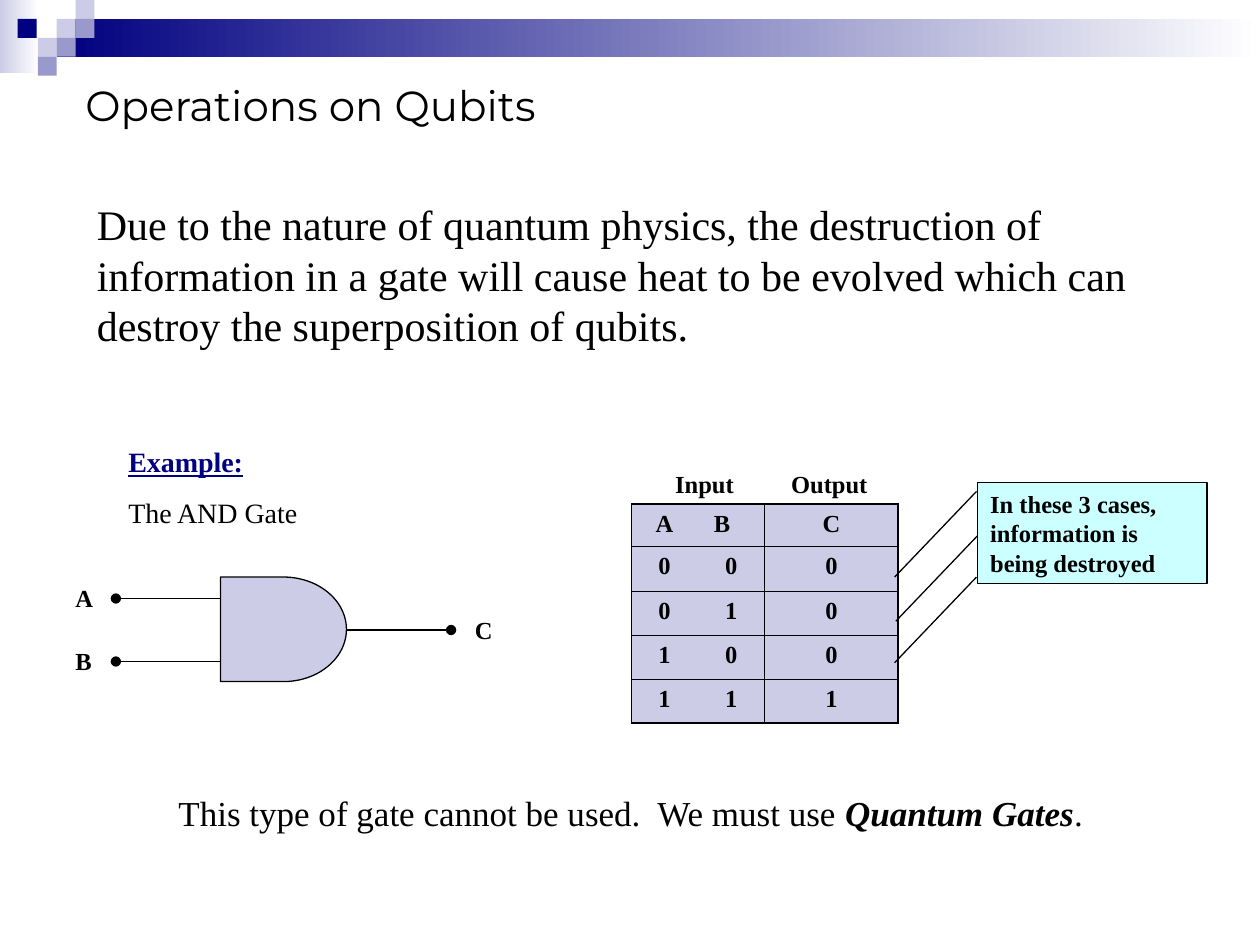
from lxml.etree import SubElement
from pptx import Presentation
from pptx.dml.color import RGBColor
from pptx.enum.shapes import MSO_CONNECTOR, MSO_SHAPE
from pptx.enum.text import MSO_ANCHOR, PP_ALIGN
from pptx.oxml.ns import qn
from pptx.util import Inches, Pt

BLACK = RGBColor(0x00, 0x00, 0x00)
WHITE = RGBColor(0xFF, 0xFF, 0xFF)
NAVY = RGBColor(0x00, 0x00, 0x80)
LILAC = RGBColor(0xCC, 0xCC, 0xE6)
MAUVE = RGBColor(0x99, 0x99, 0xCC)
CYAN = RGBColor(0xCC, 0xFF, 0xFF)

deck = Presentation()
deck.slide_width, deck.slide_height = Inches(10), Inches(7.5)
slide = deck.slides.add_slide(deck.slide_layouts[6])
shapes = slide.shapes


def write(frame, text, size=14, bold=False, italic=False, under=False,
          color=BLACK, font="Times New Roman", align=PP_ALIGN.LEFT):
    """Add a run to the last paragraph of a frame."""
    para = frame.paragraphs[-1]
    para.alignment = align
    run = para.add_run()
    run.text = text
    run.font.name, run.font.size = font, Pt(size)
    run.font.bold, run.font.italic, run.font.underline = bold, italic, under
    run.font.color.rgb = color


def add_box(left, top, width, height, kind=None, fill=None, line=None):
    """Add a text box, or a preset shape when a kind is given."""
    place = [Inches(n) for n in (left, top, width, height)]
    if kind is None:
        box = shapes.add_textbox(*place)
    else:
        box = shapes.add_shape(kind, *place)
        box.shadow.inherit = False
        if isinstance(fill, tuple) and not isinstance(fill, RGBColor):
            box.fill.gradient()
            box.fill.gradient_angle = 0
            for stop, color in zip(box.fill.gradient_stops, fill):
                stop.color.rgb = color
        else:
            box.fill.solid()
            box.fill.fore_color.rgb = fill
        if line is None:
            box.line.fill.background()
        else:
            box.line.color.rgb, box.line.width = line, Pt(0.75)
    box.text_frame.word_wrap = True
    return box.text_frame


# Banner: two fading bars and a mosaic of small squares
add_box(0, 0, 0.31, 0.58, MSO_SHAPE.RECTANGLE, (LILAC, WHITE))
add_box(0.45, 0.15, 9.55, 0.3, MSO_SHAPE.RECTANGLE, (NAVY, WHITE))
for left, top, color in [
    (0.45, 0.15, LILAC), (0.6, 0, LILAC), (0.6, 0.15, MAUVE), (0.3, 0.3, LILAC),
    (0.14, 0.15, NAVY), (0.45, 0.3, MAUVE), (0.3, 0.45, MAUVE),
]:
    add_box(left, top, 0.15, 0.15, MSO_SHAPE.RECTANGLE, color)

# Title and statement
title = add_box(0.58, 0.58, 9, 0.5)
title.vertical_anchor = MSO_ANCHOR.MIDDLE
write(title, "Operations on Qubits", size=24, font="Montserrat")
write(add_box(0.67, 1.53, 8.42, 1.3),
      "Due to the nature of quantum physics, the destruction of information in a "
      "gate will cause heat to be evolved which can destroy the superposition of "
      "qubits.", size=24)

# Example heading
intro = add_box(0.92, 3.48, 1.67, 0.77)
write(intro, "Example:", size=16, bold=True, under=True, color=NAVY)
intro.add_paragraph().space_before = Pt(10)
write(intro, "The AND Gate", size=16)

# Gate body and callout
add_box(1.75, 4.58, 1, 0.83, MSO_SHAPE.FLOWCHART_DELAY, LILAC, BLACK)
note = add_box(7.76, 3.83, 1.82, 0.8, MSO_SHAPE.RECTANGLE, CYAN, BLACK)
note.vertical_anchor = MSO_ANCHOR.TOP
write(note, "In these 3 cases, information is being destroyed", bold=True)

# Truth table
rows = ["ABC", "000", "010", "100", "111"]
table = shapes.add_table(5, 3, Inches(5.01), Inches(4), Inches(2.12), Inches(1.74)).table
table.first_row = table.horz_banding = False
for col, width in zip(table.columns, (0.53, 0.53, 1.06)):
    col.width = Inches(width)
for r, row in enumerate(rows):
    table.rows[r].height = Inches(0.34 if r == 0 else 0.35)
    for c, text in enumerate(row):
        cell = table.cell(r, c)
        # Thick top, right and bottom frame; no rule between the inputs
        edges = {
            "a:lnL": 0 if c == 1 else 0.45,
            "a:lnR": (0, 0.45, 1.08)[c],
            "a:lnT": 1.08 if r == 0 else 0.45,
            "a:lnB": 1.08 if r == 4 else 0.45,
        }
        props = cell._tc.get_or_add_tcPr()
        for tag, width in edges.items():
            edge = SubElement(props, qn(tag), w=str(Pt(width)))
            if width:
                paint = SubElement(edge, qn("a:solidFill"))
                SubElement(paint, qn("a:srgbClr"), val=str(BLACK))
            else:
                SubElement(edge, qn("a:noFill"))
        cell.fill.solid()
        cell.fill.fore_color.rgb = LILAC
        if text == "B":
            cell.margin_right = Inches(0.25)
        write(cell.text_frame, text, bold=True, align=PP_ALIGN.CENTER)

# Table and gate labels
for text, left, top, width in [
    ("Input", 5.26, 3.67, 0.73), ("Output", 6.18, 3.67, 0.92),
    ("A", 0.5, 4.58, 0.33), ("B", 0.5, 5.08, 0.33), ("C", 3.67, 4.83, 0.33),
]:
    label = add_box(left, top, width, 0.34)
    label.word_wrap = False
    write(label, text, bold=True)

# Gate wires end in dots; plain leaders join table rows to the callout
for x1, y1, x2, y2, dot in [
    (1.75, 4.75, 0.92, 4.75, True), (1.75, 5.25, 0.92, 5.25, True),
    (2.75, 5, 3.58, 5, True),
    (7.1, 4.58, 7.75, 3.9, False), (7.11, 4.93, 7.76, 4.25, False),
    (7.1, 5.26, 7.75, 4.58, False),
]:
    wire = shapes.add_connector(MSO_CONNECTOR.STRAIGHT, Inches(x1), Inches(y1),
                                Inches(x2), Inches(y2))
    wire.line.color.rgb, wire.line.width = BLACK, Pt(0.75)
    if dot:
        SubElement(wire.line._get_or_add_ln(), qn("a:tailEnd"), type="oval")
    SubElement(wire._element.spPr, qn("a:effectLst"))

# Conclusion
end = add_box(1.13, 6.23, 7.75, 0.44)
for text, strong in [("This type of gate cannot be used.  We must use ", False),
                     ("Quantum Gates", True), (".", False)]:
    write(end, text, size=20, bold=strong, italic=strong, align=PP_ALIGN.CENTER)

deck.save("out.pptx")
